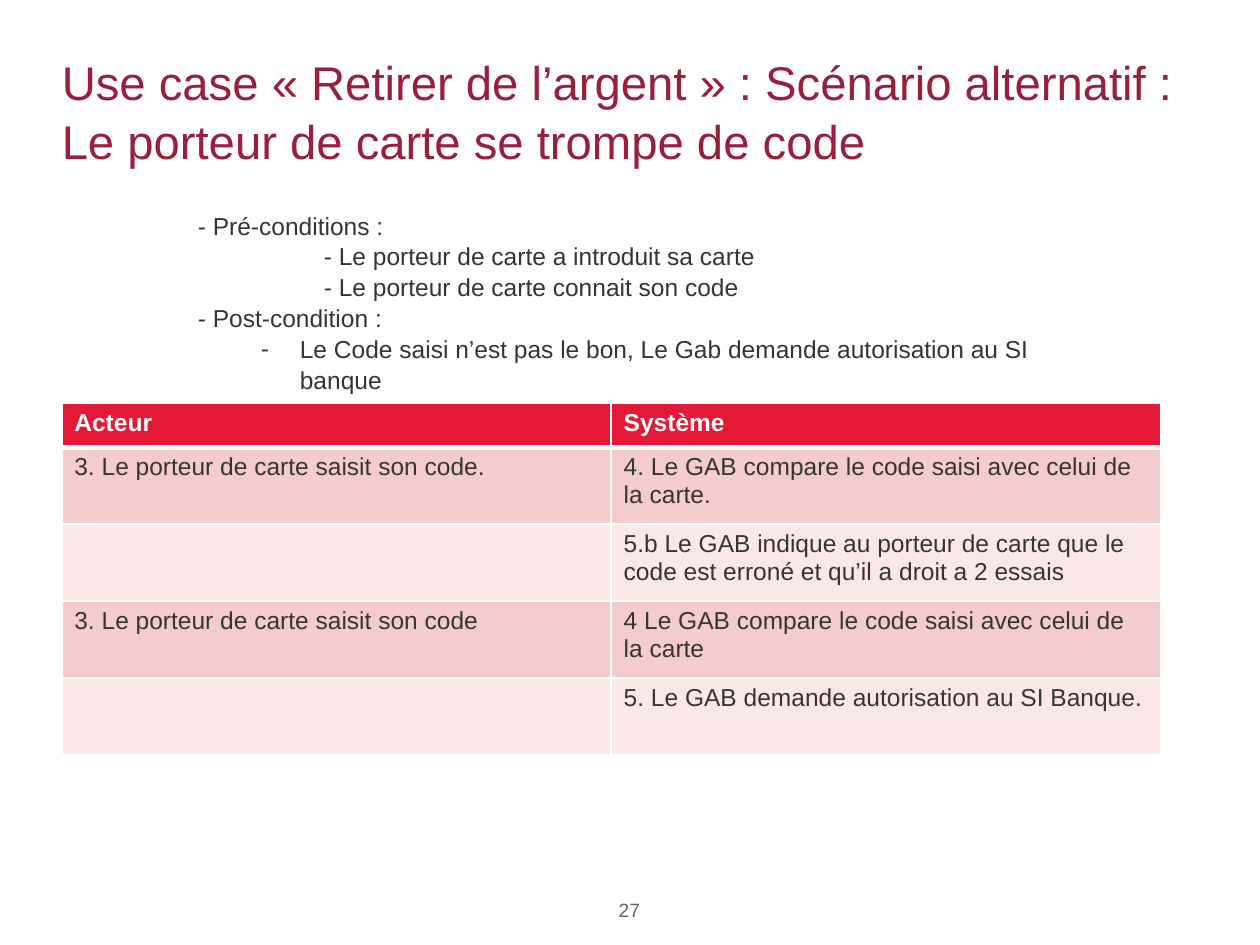
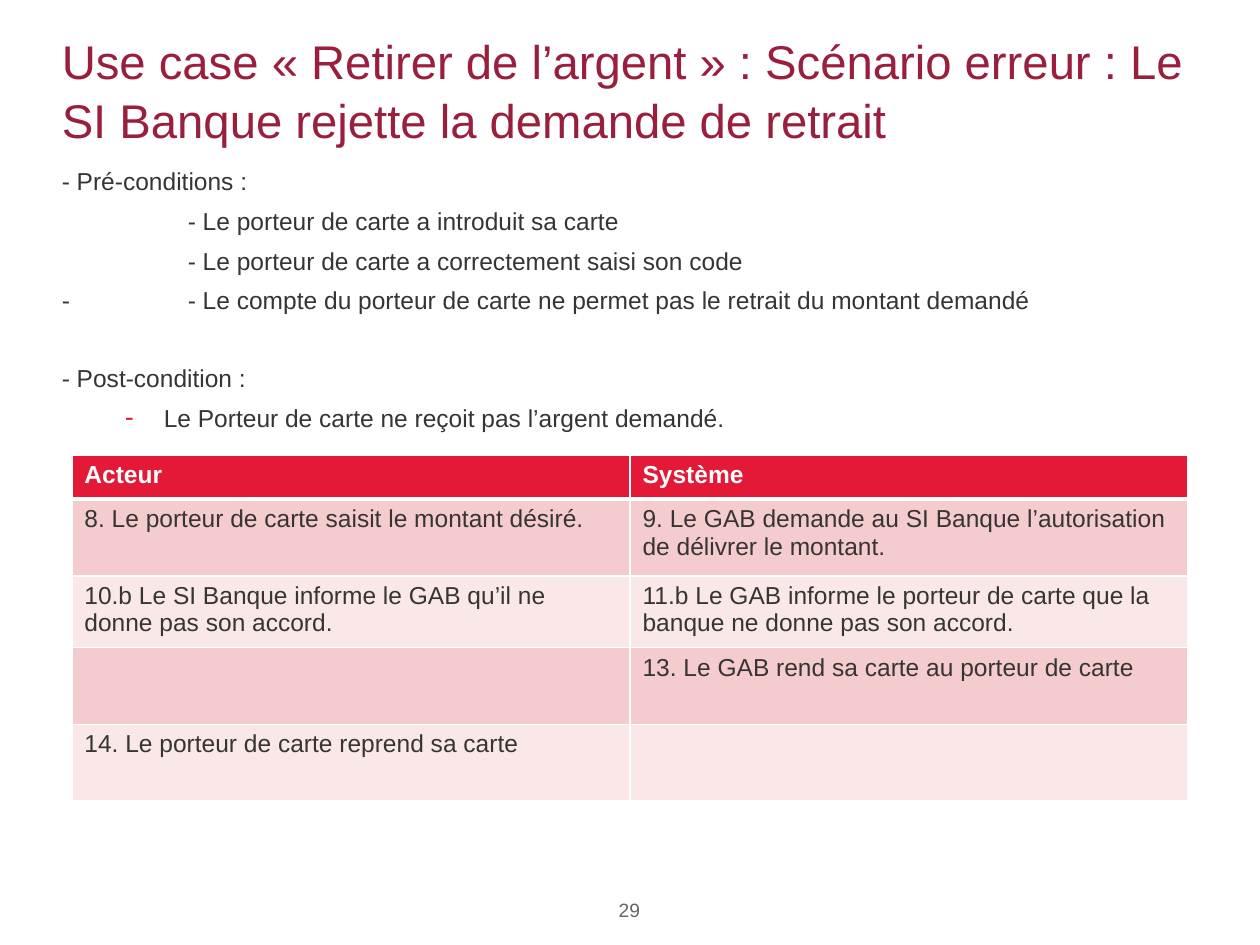
from lxml.etree import SubElement
from pptx import Presentation
from pptx.dml.color import RGBColor
from pptx.enum.text import MSO_ANCHOR as Anchor, PP_ALIGN as Align
from pptx.oxml import parse_xml
from pptx.oxml.ns import nsdecls, qn
from pptx.util import Inches, Pt

COLUMNS, ROWS = 100, 75
CRIMSON, RED, INK, GREY, WHITE = "991F3D", "E31937", "363534", "666666", "FFFFFF"
BANDS = ("F4CCCE", "FAE8E8")
HEADINGS = ("Acteur", "Système")
MARGIN, BODY_WIDTH = 4.9, 90.1
HEAD_ROW, TALL_ROW, SNUG_ROW = 3.5, 6.1, 5.7
INDENTS = {"plain": (0, 0), "deep": (1, 0), "hanging": (1, -1), "bullet": (0.81, -0.31)}


def colour(value):
    return RGBColor.from_string(value)


class Deck:
    def __init__(self, font="Arial"):
        self.show = Presentation()
        self.show.slide_width, self.show.slide_height = Inches(10), Inches(7.5)
        self.font = font
        self.slide = None

    def x(self, columns):
        return round(self.show.slide_width * columns / COLUMNS)

    def y(self, rows):
        return round(self.show.slide_height * rows / ROWS)

    def place(self, left, top, width, height):
        return self.x(left), self.y(top), self.x(width), self.y(height)

    def format(self, paragraph, size, ink, bold=False):
        for run in paragraph.runs:
            run.font.name, run.font.size, run.font.bold = self.font, Pt(size), bold
            run.font.color.rgb = colour(ink)

    def text(self, area, lines, size, ink, anchor=Anchor.TOP, align=Align.LEFT, spacing=1.05):
        frame = self.slide.shapes.add_textbox(*self.place(*area)).text_frame
        frame.word_wrap, frame.vertical_anchor = True, anchor
        frame.margin_left = frame.margin_right = frame.margin_top = frame.margin_bottom = 0
        frame.text = "\n".join(lines)
        for paragraph in frame.paragraphs:
            paragraph.alignment, paragraph.line_spacing = align, spacing
            self.format(paragraph, size, ink)
        return frame.paragraphs

    def page(self, title, title_height, number):
        self.slide = self.show.slides.add_slide(self.show.slide_layouts[6])
        self.text((MARGIN, 2, BODY_WIDTH, title_height), [title], 27, CRIMSON, Anchor.MIDDLE)
        self.text((45.7, 71.3, 8.5, 2.6), [str(number)], 11, GREY, align=Align.CENTER, spacing=1)

    def conditions(self, area, items, gap=0, section_gap=0, dash=INK, dash_size=100):
        paragraphs = self.text(area, [line for _, line in items], 14, INK)
        for index, (paragraph, (kind, _)) in enumerate(zip(paragraphs, items)):
            margin, indent = INDENTS[kind]
            properties = paragraph._p.get_or_add_pPr()
            properties.set("marL", str(Inches(margin)))
            properties.set("indent", str(Inches(indent)))
            if kind == "bullet":
                tint = SubElement(properties, qn("a:buClr"))
                SubElement(tint, qn("a:srgbClr")).set("val", dash)
                SubElement(properties, qn("a:buSzPct")).set("val", str(dash_size * 1000))
                SubElement(properties, qn("a:buFont")).set("typeface", self.font)
                SubElement(properties, qn("a:buChar")).set("char", "-")
            if index:
                paragraph.space_before = Pt(section_gap if kind == "plain" else gap)

    def borders(self, cell, top, bottom):
        properties = cell._tc.get_or_add_tcPr()
        for index, (side, width) in enumerate(zip("LRTB", (1, 1, top, bottom))):
            properties.insert(index, parse_xml(
                f'<a:ln{side} {nsdecls("a")} w="{Pt(width)}"><a:solidFill>'
                f'<a:srgbClr val="{WHITE}"/></a:solidFill></a:ln{side}>'))

    def scenario(self, left, top, width, heights, steps):
        area = self.place(left, top, width, sum(heights))
        table = self.slide.shapes.add_table(len(heights), len(HEADINGS), *area).table
        table.horz_banding = False
        for row, height in zip(table.rows, heights):
            row.height = self.y(height)
        for r, step in enumerate([HEADINGS, *steps]):
            heading = r == 0
            for c, wording in enumerate(step):
                cell = table.cell(r, c)
                cell.fill.solid()
                cell.fill.fore_color.rgb = colour(RED if heading else BANDS[(r - 1) % 2])
                self.borders(cell, 3 if r == 1 else 1, 3 if heading else 1)
                if wording:
                    cell.text_frame.text = wording
                    self.format(cell.text_frame.paragraphs[0], 14, WHITE if heading else INK, heading)


def main():
    deck = Deck()

    deck.page("Use case « Retirer de l’argent » : Scénario alternatif : "
              "Le porteur de carte se trompe de code", 13.4, 27)
    deck.scenario(MARGIN, 32, 87.2, [HEAD_ROW] + [TALL_ROW] * 4, [
        ("3. Le porteur de carte saisit son code.",
         "4. Le GAB compare le code saisi avec celui de la carte."),
        ("", "5.b Le GAB indique au porteur de carte que le code est erroné et qu’il a droit a 2 essais"),
        ("3. Le porteur de carte saisit son code",
         "4 Le GAB compare le code saisi avec celui de la carte"),
        ("", "5. Le GAB demande autorisation au SI Banque."),
    ])
    deck.conditions((15.7, 16.6, 70.8, 14.4), [
        ("plain", "- Pré-conditions :"),
        ("deep", "- Le porteur de carte a introduit sa carte"),
        ("deep", "- Le porteur de carte connait son code"),
        ("plain", "- Post-condition :"),
        ("bullet", "Le Code saisi n’est pas le bon, Le Gab demande autorisation au SI banque"),
    ])

    deck.page("Use case « Retirer de l’argent » : Scénario erreur : "
              "Le SI Banque rejette la demande de retrait", 10.1, 29)
    deck.conditions((MARGIN, 13.1, BODY_WIDTH, 21), [
        ("plain", "- Pré-conditions :"),
        ("deep", "- Le porteur de carte a introduit sa carte"),
        ("deep", "- Le porteur de carte a correctement saisi son code"),
        ("hanging", "-\t- Le compte du porteur de carte ne permet pas le retrait du montant demandé"),
        ("plain", "- Post-condition :"),
        ("bullet", "Le Porteur de carte ne reçoit pas l’argent demandé."),
    ], gap=5, section_gap=27, dash=RED, dash_size=110)
    deck.scenario(5.7, 36.1, 88.6, [HEAD_ROW, TALL_ROW, SNUG_ROW, TALL_ROW, TALL_ROW], [
        ("8. Le porteur de carte saisit le montant désiré.",
         "9. Le GAB demande au SI Banque l’autorisation de délivrer le montant."),
        ("10.b Le SI Banque informe le GAB qu’il ne donne pas son accord.",
         "11.b Le GAB informe le porteur de carte que la banque ne donne pas son accord."),
        ("", "13. Le GAB rend sa carte au porteur de carte"),
        ("14. Le porteur de carte reprend sa carte", ""),
    ])

    deck.show.save("out.pptx")


if __name__ == "__main__":
    main()
